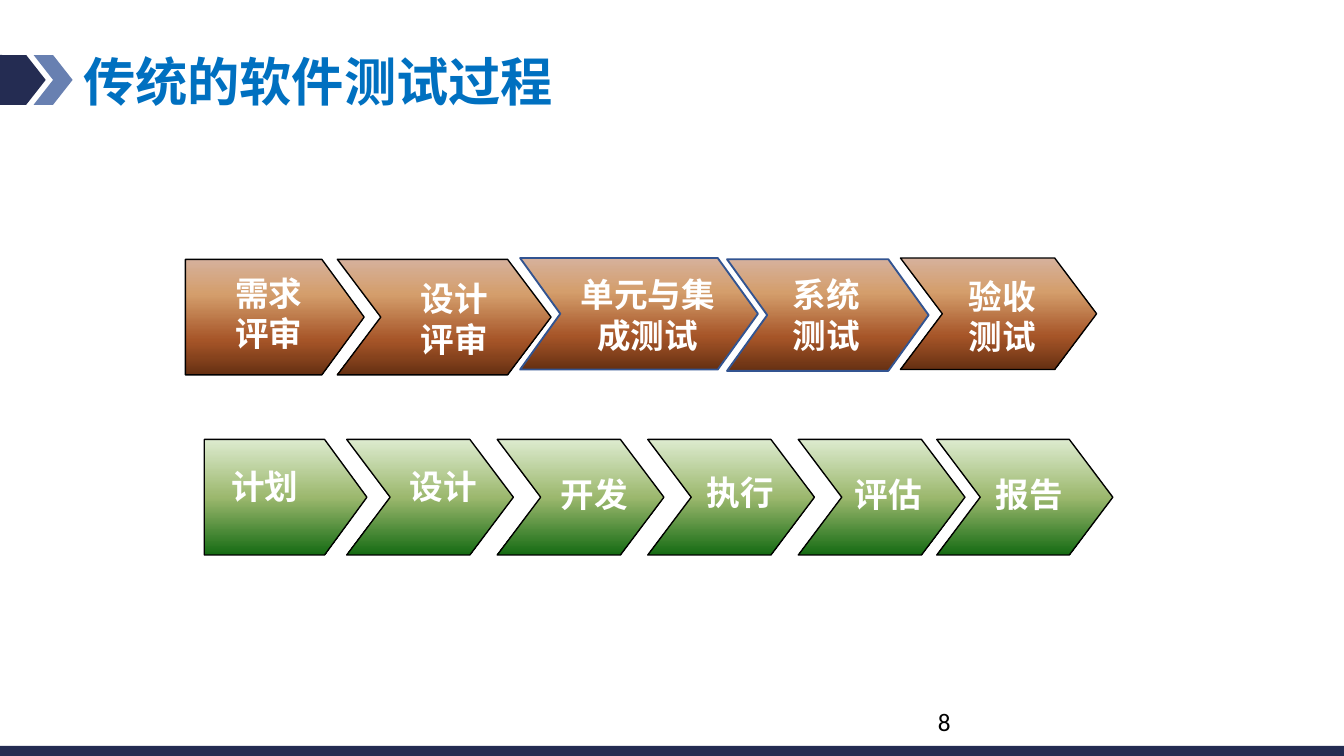
from lxml.etree import SubElement
from pptx import Presentation
from pptx.dml.color import RGBColor
from pptx.enum.shapes import MSO_SHAPE
from pptx.enum.text import MSO_ANCHOR, PP_ALIGN
from pptx.oxml import parse_xml
from pptx.oxml.ns import nsdecls, qn
from pptx.util import Inches, Pt

CJK = "Noto Sans CJK SC"
NAVY = "242C52"
BLACK = "000000"
BLUE = "325491"
BROWN = [(0, "D6B19C"), (30, "D49E6C"), (70, "A65528"), (100, "663012")]
GREEN = [(0, "DDEBCF"), (50, "9CB86E"), (100, "156B13")]


def add_block(kind, left, top, width, height, fill, adjust=None, line=None):
    block = slide.shapes.add_shape(kind, Inches(left), Inches(top), Inches(width), Inches(height))
    block.shadow.inherit = False
    if adjust is not None:
        block.adjustments[0] = adjust
    if line:
        block.line.color.rgb = RGBColor.from_string(line)
        block.line.width = Pt(1 if line == BLUE else 0.75)
    else:
        block.line.fill.background()
    if isinstance(fill, str):
        block.fill.solid()
        block.fill.fore_color.rgb = RGBColor.from_string(fill)
        return
    stops = "".join(
        f'<a:gs pos="{place * 1000}"><a:srgbClr val="{color}"/></a:gs>' for place, color in fill
    )
    gradient = parse_xml(
        f'<a:gradFill {nsdecls("a")} rotWithShape="1"><a:gsLst>{stops}</a:gsLst>'
        '<a:lin ang="5400000" scaled="0"/></a:gradFill>'
    )
    block._element.spPr.find(qn("a:prstGeom")).addnext(gradient)


def add_text(words, left, top, width, height, size=18, color="FFFFFF", font=CJK, inset=0, spacing=None, align=PP_ALIGN.LEFT):
    box = slide.shapes.add_textbox(Inches(left), Inches(top), Inches(width), Inches(height))
    frame = box.text_frame
    frame.word_wrap = True
    frame.vertical_anchor = MSO_ANCHOR.TOP
    frame.margin_left = frame.margin_right = Inches(inset)
    frame.margin_top = frame.margin_bottom = Inches(inset / 2)
    paragraph = frame.paragraphs[0]
    paragraph.alignment = align
    if spacing:
        paragraph.line_spacing = spacing
    run = paragraph.add_run()
    run.text = words
    run.font.size = Pt(size)
    run.font.bold = font == CJK
    run.font.name = font
    run.font.color.rgb = RGBColor.from_string(color)
    SubElement(run.font._element, qn("a:ea"), typeface=font)


presentation = Presentation()
presentation.slide_width = Inches(10)
presentation.slide_height = Inches(10) * 9 // 16
slide = presentation.slides.add_slide(presentation.slide_layouts[6])

add_block(MSO_SHAPE.ROUNDED_RECTANGLE, -0.15, 0.41, 0.35, 0.37, NAVY, 0.1)
for left, color in [(0.25, "6880B1"), (0.05, NAVY)]:
    add_block(MSO_SHAPE.CHEVRON, left, 0.41, 0.29, 0.37, color)
add_block(MSO_SHAPE.RECTANGLE, 0, 5.55, 10, 0.13, NAVY)

add_text("传统的软件测试过程", 0.52, 0.37, 4.75, 0.58, 28, "0070C0", inset=0.1, spacing=0.9)

review_steps = [
    ("需求评审", 1.38, 1.93, 1.33, 0.86, 0.366, BLACK, 1.75, 2.03, 0.67),
    ("设计评审", 2.51, 1.93, 1.59, 0.86, 0.376, BLACK, 3.13, 2.07, 0.71),
    ("单元与集成测试", 3.87, 1.92, 1.77, 0.83, 0.361, BLUE, 4.29, 2.04, 1.06),
    ("系统测试", 5.41, 1.93, 1.5, 0.83, 0.361, BLUE, 5.9, 2.04, 0.53),
    ("验收测试", 6.7, 1.92, 1.46, 0.83, 0.376, BLACK, 7.21, 2.05, 0.53),
]
for index, (words, left, top, width, height, adjust, line, text_left, text_top, text_width) in enumerate(review_steps):
    kind = MSO_SHAPE.CHEVRON if index else MSO_SHAPE.PENTAGON
    align = PP_ALIGN.CENTER if len(words) > 4 else PP_ALIGN.LEFT
    add_block(kind, left, top, width, height, BROWN, adjust, line)
    add_text(words, text_left, text_top, text_width, 0.61, align=align)

test_steps = [
    ("计划", 1.52, 1.21, 1.72, 3.47),
    ("设计", 2.58, 1.24, 3.05, 3.47),
    ("开发", 3.7, 1.24, 4.17, 3.53),
    ("执行", 4.82, 1.24, 5.26, 3.51),
    ("评估", 5.94, 1.24, 6.36, 3.53),
    ("报告", 6.97, 1.31, 7.41, 3.53),
]
for index, (words, left, width, text_left, text_top) in enumerate(test_steps):
    kind, adjust = (MSO_SHAPE.CHEVRON, 0.376) if index else (MSO_SHAPE.PENTAGON, 0.366)
    add_block(kind, left, 3.27, width, 0.86, GREEN, adjust, BLACK)
    add_text(words, text_left, text_top, 0.68, 0.3)

add_text("8", 6.88, 5.21, 1.75, 0.26, 13.5, BLACK, "Calibri", 0.1)

presentation.save("out.pptx")
